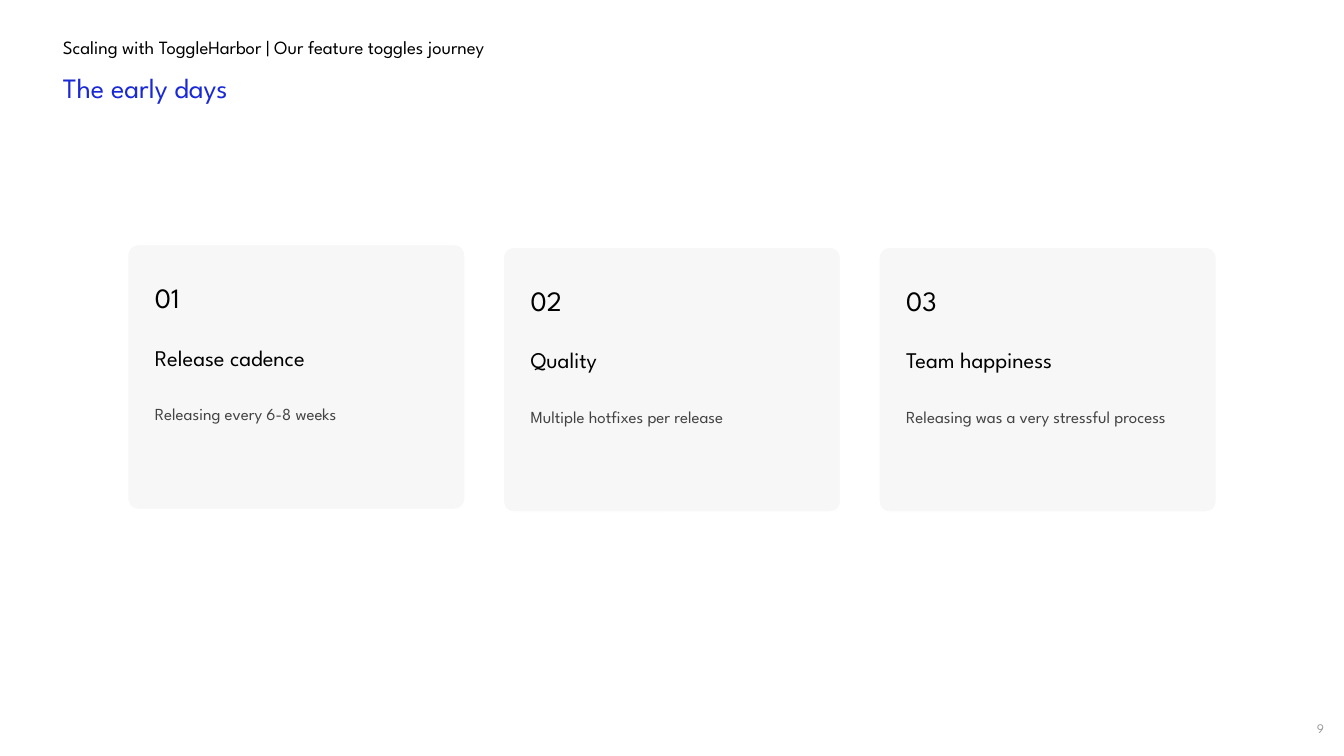
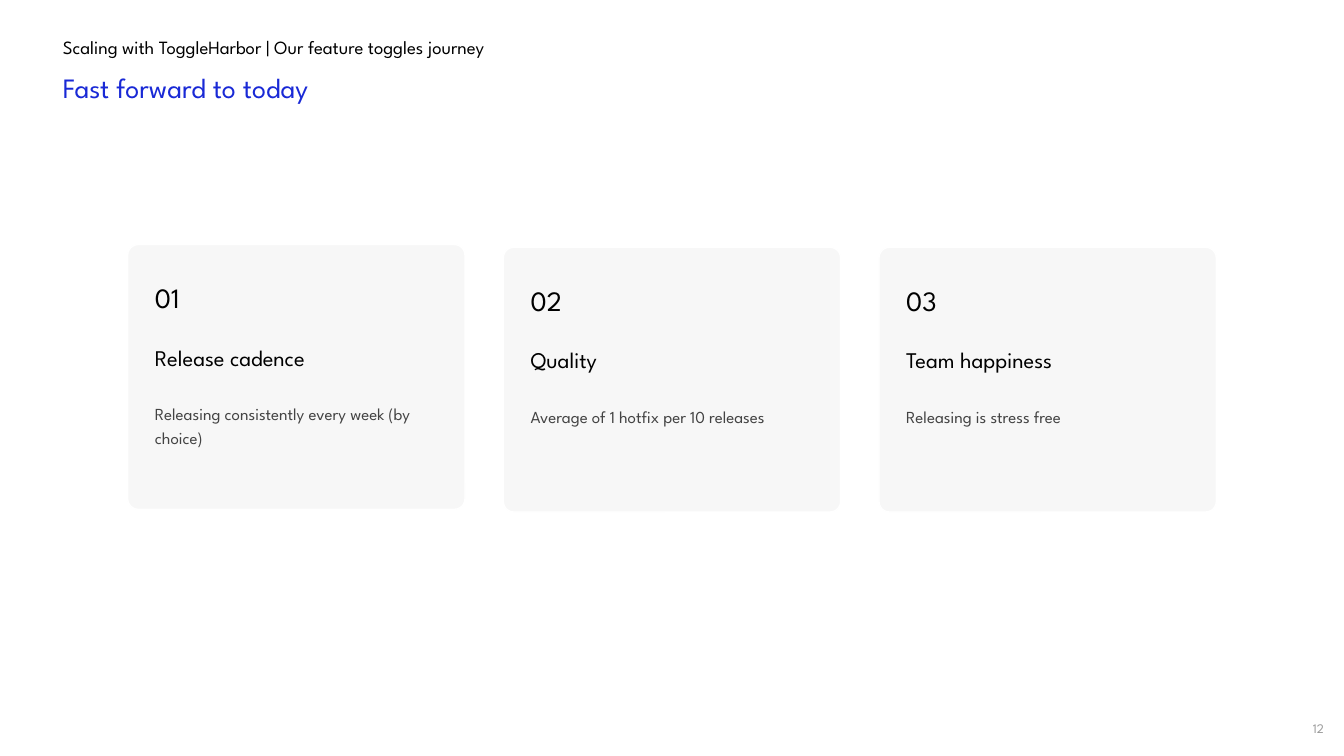
from pptx import Presentation
from pptx import util as u
from pptx.dml.color import RGBColor
from pptx.enum import shapes, text

SCALE = 4572
HEADER = "Scaling with ToggleHarbor | Our feature toggles journey"
CARD_TITLES = ["Release cadence", "Quality", "Team happiness"]
CARD_LEFT, CARD_PITCH = 190, 559
CARD_TOPS = [364, 368, 368]
SLIDES = [
    ("The early days", 9, [
        "Releasing every 6-8 weeks",
        "Multiple hotfixes per release",
        "Releasing was a very stressful process",
    ]),
    ("Fast forward to today", 12, [
        "Releasing consistently every week (by choice)",
        "Average of 1 hotfix per 10 releases",
        "Releasing is stress free",
    ]),
]


def px(length):
    return u.Emu(length * SCALE)


def color(value):
    return RGBColor.from_string(value)


class Painter:
    font = "League Spartan"
    background = "FFFFFF"
    blue = "1929D6"
    black = "000000"
    body = "434343"
    muted = "999999"
    panel = "F7F7F7"

    def __init__(self, deck):
        self.deck = deck
        self.page = None

    def new_page(self):
        self.page = self.deck.slides.add_slide(self.deck.slide_layouts[6])
        fill = self.page.background.fill
        fill.solid()
        fill.fore_color.rgb = color(self.background)

    def text_box(self, parent, area, lines, anchor=text.MSO_ANCHOR.MIDDLE,
                 align=text.PP_ALIGN.LEFT, inset=(20, 20), spacing=None):
        box = parent.shapes.add_textbox(*map(px, area))
        frame = box.text_frame
        frame.word_wrap = True
        frame.vertical_anchor = anchor
        frame.margin_left = frame.margin_right = px(inset[0])
        frame.margin_top = frame.margin_bottom = px(inset[1])
        frame.text = "\n".join(line[0] for line in lines)
        for para, (_, size, ink, before) in zip(frame.paragraphs, lines):
            para.alignment = align
            para.space_before = u.Pt(before)
            para.line_spacing = spacing
            for span in para.runs:
                span.font.name = self.font
                span.font.size = u.Pt(size)
                span.font.color.rgb = color(ink)

    def heading(self, title):
        self.text_box(self.page, (74, 96, 1034, 68), [(title, 15, self.blue, 0)])
        self.text_box(self.page, (74, 42, 1018, 56), [(HEADER, 10, self.black, 0)])

    def page_number(self, number):
        self.text_box(self.page, (1926, 1054, 58, 60),
                      [(str(number), 7, self.muted, 0)],
                      align=text.PP_ALIGN.RIGHT, inset=(14, 8))

    def card(self, left, top, number, title, detail):
        group = self.page.shapes.add_group_shape()
        panel = group.shapes.add_shape(
            shapes.MSO_SHAPE.ROUNDED_RECTANGLE, *map(px, (left, top, 502, 394)))
        panel.adjustments[0] = 0.04
        panel.shadow.inherit = False
        panel.fill.solid()
        panel.fill.fore_color.rgb = color(self.panel)
        panel.line.color.rgb = color(self.background)
        panel.line.width = u.Pt(0.75)
        self.text_box(group, (left + 21, top + 26, 460, 340), [
            (f"{number:02}", 15, self.black, 0),
            (title, 12, self.black, 13.7),
            (detail, 9, self.body, 16.4),
        ], anchor=text.MSO_ANCHOR.TOP, spacing=1.15)


def main():
    deck = Presentation()
    deck.slide_width, deck.slide_height = px(2000), px(1125)
    painter = Painter(deck)
    for title, number, details in SLIDES:
        painter.new_page()
        painter.page_number(number)
        painter.heading(title)
        for index, (top, name, detail) in enumerate(zip(CARD_TOPS, CARD_TITLES, details)):
            painter.card(CARD_LEFT + index * CARD_PITCH, top, index + 1, name, detail)
    deck.save("out.pptx")


if __name__ == "__main__":
    main()
